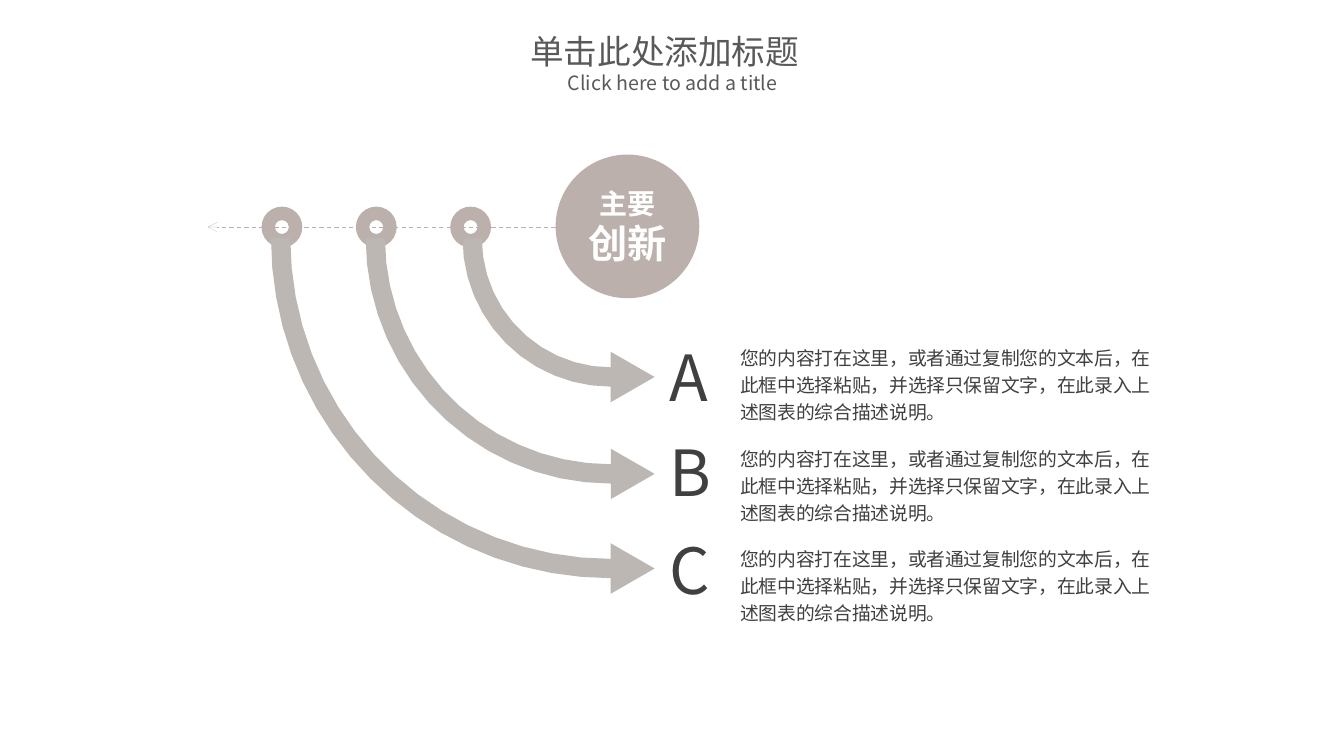
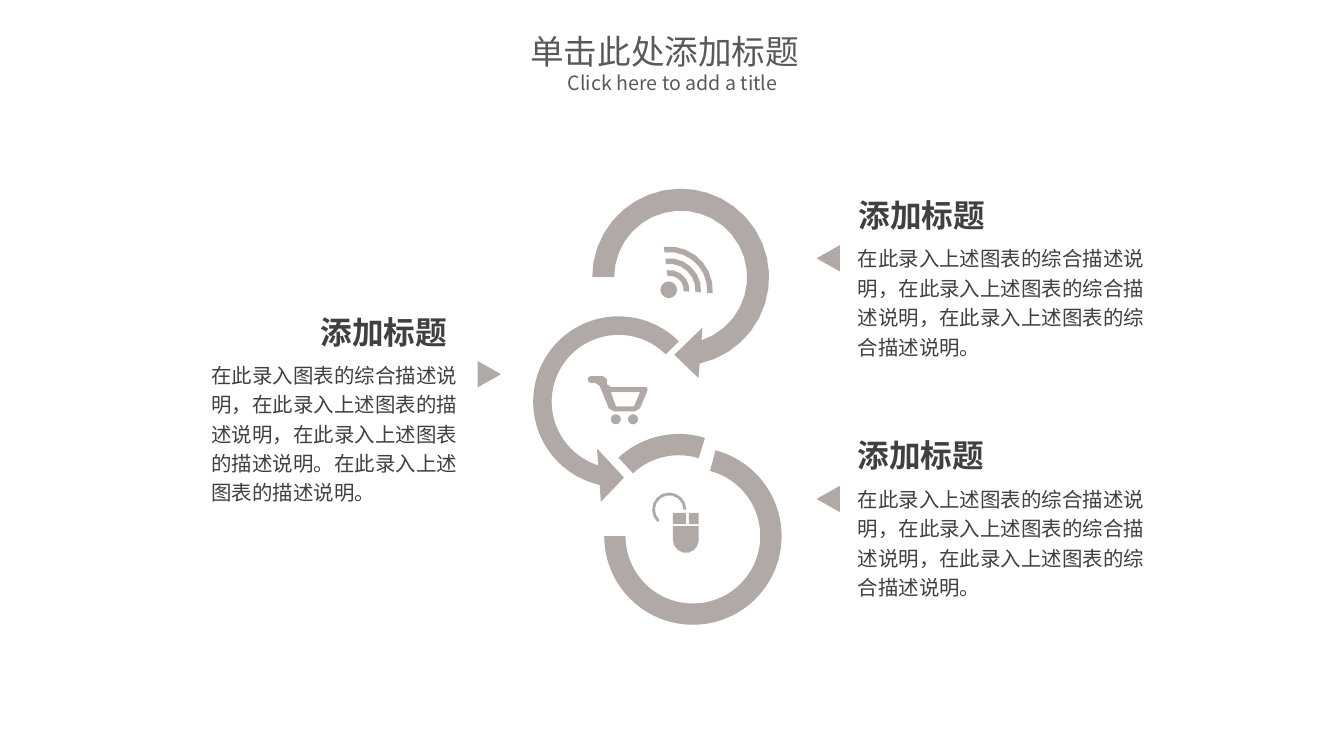
from collections.abc import Iterable
from dataclasses import dataclass
from math import acos, ceil, cos, degrees, radians, sin

from lxml.etree import SubElement
from pptx import Presentation
from pptx.dml.color import RGBColor
from pptx.enum.dml import MSO_LINE
from pptx.enum.shapes import MSO_CONNECTOR, MSO_SHAPE
from pptx.enum.text import MSO_ANCHOR as Anchor
from pptx.enum.text import MSO_AUTO_SIZE as AutoSize
from pptx.enum.text import PP_ALIGN as Align
from pptx.oxml.ns import qn
from pptx.shapes.autoshape import Shape
from pptx.shapes.shapetree import GroupShapes, SlideShapes
from pptx.slide import Slide
from pptx.text.text import TextFrame
from pptx.util import Pt

Point = tuple[float, float]
Shapes = SlideShapes | GroupShapes


@dataclass(frozen=True)
class Theme:
    font: str = "Noto Sans CJK SC"
    title_color: str = "595959"
    text_color: str = "404040"
    white: str = "FFFFFF"
    node: str = "BBB0AC"
    arrow: str = "BCB7B3"
    ring: str = "B1A9A5"
    title_size: float = 24
    subtitle_size: float = 14
    hub_sizes: Point = (20, 28)
    letter_size: float = 45.4
    note_size: float = 13.33
    heading_size: float = 22.67
    body_size: float = 14.6


@dataclass(frozen=True)
class Box:
    left: float
    top: float
    width: float
    height: float

    def lengths(self) -> tuple[int, int, int, int]:
        return Pt(self.left), Pt(self.top), Pt(self.width), Pt(self.height)


@dataclass(frozen=True)
class Line:
    """One paragraph of text with its look."""
    text: str
    size: float
    color: str
    bold: bool = False
    align: Align = Align.LEFT
    spacing: float = 1.0
    indent: float = 0


@dataclass(frozen=True)
class Branch:
    """One curved arrow with its letter and note."""
    letter: str
    radius: float
    letter_top: float
    note_top: float


@dataclass(frozen=True)
class Callout:
    """Heading, body text and a small triangle pointing at the rings."""
    heading: Box
    body: Box
    marker: Point
    rotation: float
    align: Align
    text: str


@dataclass(frozen=True)
class PresetRing:
    preset: MSO_SHAPE
    box: Box
    adjustments: tuple[float, ...]


THEME = Theme()
TITLE_BOX = Box(285.1, 27.4, 379.4, 37.4)
TOLERANCE = 0.25

# Curved arrows
NODE_START, NODE_STEP, NODE_Y, NODE_SIZE = 336.2, 67.4, 162.2, 29.2
ARC_CENTER: Point = (436.3, 170.3)
ARC_HALF, HEAD_HALF, HEAD_LENGTH = 6.9, 18, 31.3
BRANCHES = [
    Branch("A", 99, 236.2, 241.7),
    Branch("B", 168.2, 304.3, 314),
    Branch("C", 235.8, 374.4, 385.2),
]
NOTE = "您的内容打在这里，或者通过复制您的文本后，在此框中选择粘贴，并选择只保留文字，在此录入上述图表的综合描述说明。"

# Linked rings
RIGHT_TEXT = "在此录入上述图表的综合描述说明，在此录入上述图表的综合描述说明，在此录入上述图表的综合描述说明。"
LEFT_TEXT = "在此录入图表的综合描述说明，在此录入上述图表的描述说明，在此录入上述图表的描述说明。在此录入上述图表的描述说明。"
MARKER_SIZE = (18.7, 16.6)
CALLOUTS = [
    Callout(Box(606.2, 136.1, 105, 36), Box(605.5, 169, 222.5, 91.4),
            (582.2, 176.2), 270, Align.LEFT, RIGHT_TEXT),
    Callout(Box(605.5, 307.8, 105, 36), Box(605.5, 340.8, 222.5, 91.4),
            (582.2, 348.1), 270, Align.LEFT, RIGHT_TEXT),
    Callout(Box(221.8, 219.6, 105, 36), Box(144, 252.2, 192.2, 113),
            (340.2, 259), 90, Align.RIGHT, LEFT_TEXT),
]
PRESET_RINGS = [
    PresetRing(MSO_SHAPE.LEFT_CIRCULAR_ARROW, Box(368.4, 213.5, 146.9, 146.9),
               (0.09, 11.42, 62.94, 189, 0.13)),
    PresetRing(MSO_SHAPE.BLOCK_ARC, Box(421.6, 310, 126.7, 126.7), (136.24, 172.28, 0.12)),
    PresetRing(MSO_SHAPE.BLOCK_ARC, Box(431.6, 319.6, 126.7, 126.7), (170.85, 108, 0.12)),
]
TOP_CENTER: Point = (486.2, 198)
TOP_OUTER, TOP_INNER, TOP_SEAM = 63.2, 47.5, 288
TOP_HEAD: list[Point] = [(498.9, 270), (481.7, 253.4), (501.8, 234)]
CART_ORIGIN: Point = (419.8, 268.6)
CART_FRAME: list[Point] = [
    (2.2, 0), (10.8, 0), (13.7, 2.2), (13.7, 5.8), (16.6, 7.9), (41.8, 7.9), (42.8, 9),
    (42.5, 10.8), (37.4, 23), (33.8, 25.2), (18.7, 25.2), (15.1, 23), (8.6, 7.2),
    (5.8, 5), (2.2, 5), (0.6, 4), (0, 2.2), (0.6, 0.7),
]
CART_BASKET: list[Point] = [(33.1, 21.6), (20.2, 21.6), (16.6, 11.5), (37.4, 11.5)]


# Formatting helpers
def apply_format(target: object, values: dict[str, object]) -> None:
    for name, value in values.items():
        setattr(target, name, value)


def write_lines(frame: TextFrame, lines: Iterable[Line], inset: Point = (0, 0),
                **frame_format: object) -> None:
    horizontal, vertical = Pt(inset[0]), Pt(inset[1])
    apply_format(frame, {"word_wrap": True, "margin_left": horizontal,
                         "margin_right": horizontal, "margin_top": vertical,
                         "margin_bottom": vertical} | frame_format)
    for index, line in enumerate(lines):
        paragraph = frame.add_paragraph() if index else frame.paragraphs[0]
        apply_format(paragraph, {"alignment": line.align, "line_spacing": line.spacing})
        if line.indent:
            paragraph._p.get_or_add_pPr().set("marL", str(Pt(line.indent)))
        run = paragraph.add_run()
        run.text = line.text
        apply_format(run.font, {"name": THEME.font, "size": Pt(line.size), "bold": line.bold})
        run.font.color.rgb = RGBColor.from_string(line.color)
        SubElement(run._r.get_or_add_rPr(), qn("a:ea"), typeface=THEME.font)


def paint(shape: Shape, color: str) -> Shape:
    shape.shadow.inherit = False
    shape.fill.solid()
    shape.fill.fore_color.rgb = RGBColor.from_string(color)
    shape.line.fill.background()
    return shape


def add_preset(shapes: Shapes, preset: MSO_SHAPE, box: Box, color: str,
               adjustments: Iterable[float] = ()) -> Shape:
    shape = shapes.add_shape(preset, *box.lengths())
    for index, value in enumerate(adjustments):
        shape.adjustments[index] = value
    return paint(shape, color)


def add_text(slide: Slide, box: Box, line: Line, inset: Point, **frame_format: object) -> None:
    frame = slide.shapes.add_textbox(*box.lengths()).text_frame
    write_lines(frame, [line], inset, auto_size=AutoSize.SHAPE_TO_FIT_TEXT, **frame_format)


# Outline helpers: angles in degrees, clockwise from the right
def arc(center: Point, radius: float, start: float, end: float) -> list[Point]:
    """Use the fewest points that stay within the tolerance of the true arc."""
    steps = max(1, ceil(abs(end - start) / degrees(2 * acos(1 - TOLERANCE / radius))))
    angles = [radians(start + (end - start) * step / steps) for step in range(steps + 1)]
    return [(center[0] + radius * cos(angle), center[1] + radius * sin(angle))
            for angle in angles]


def band(center: Point, radius: float, half: float, start: float, end: float) -> list[Point]:
    return arc(center, radius + half, start, end) + arc(center, radius - half, end, start)


def rectangle(left: float, top: float, right: float, bottom: float) -> list[Point]:
    return [(left, top), (right, top), (right, bottom), (left, bottom)]


def add_outline(shapes: Shapes, color: str, *contours: list[Point]) -> None:
    scaled = [[(Pt(x), Pt(y)) for x, y in contour] for contour in contours]
    builder = shapes.build_freeform(*scaled[0][0])
    for index, contour in enumerate(scaled):
        if index:
            builder.move_to(*contour[0])
        builder.add_line_segments(contour[1:], close=True)
    paint(builder.convert_to_shape(), color)


# Shared slide frame
def add_titled_slide(presentation: Presentation) -> Slide:
    slide = presentation.slides.add_slide(presentation.slide_layouts[5])
    title = slide.shapes.title
    apply_format(title, dict(zip(("left", "top", "width", "height"), TITLE_BOX.lengths())))
    write_lines(title.text_frame, [
        Line("单击此处添加标题", THEME.title_size, THEME.title_color,
             align=Align.CENTER, spacing=0.95),
        Line("Click here to add a title", THEME.subtitle_size, THEME.title_color,
             align=Align.CENTER, spacing=0.95, indent=11.5),
    ], vertical_anchor=Anchor.MIDDLE, auto_size=AutoSize.NONE)
    return slide


# Slide 1: curved arrows
def build_arrows_slide(presentation: Presentation) -> None:
    slide = add_titled_slide(presentation)
    shapes = slide.shapes
    hub = add_preset(shapes, MSO_SHAPE.OVAL, Box(396.9, 110.4, 102.6, 102.6), THEME.node)
    write_lines(hub.text_frame, [
        Line(text, size, THEME.white, bold=True, align=Align.CENTER)
        for text, size in zip(("主要", "创新"), THEME.hub_sizes)
    ], (6, 3), vertical_anchor=Anchor.MIDDLE)

    axis = shapes.add_connector(MSO_CONNECTOR.STRAIGHT, Pt(396.9), Pt(NODE_Y),
                                Pt(148.3), Pt(NODE_Y))
    axis.line.color.rgb = RGBColor.from_string(THEME.node)
    axis.line.dash_style = MSO_LINE.DASH
    outline = axis.line._get_or_add_ln()
    outline.set("w", "0")  # hairline
    SubElement(outline, qn("a:tailEnd"), type="arrow")
    SubElement(axis._element.spPr, qn("a:effectLst"))

    for index in range(len(BRANCHES)):
        left = NODE_START - index * NODE_STEP - NODE_SIZE / 2
        add_preset(shapes, MSO_SHAPE.DONUT,
                   Box(left, NODE_Y - NODE_SIZE / 2, NODE_SIZE, NODE_SIZE), THEME.node, [0.33])

    center_x, center_y = ARC_CENTER
    for branch in BRANCHES:
        tip_y = center_y + branch.radius
        head = [(center_x, tip_y - HEAD_HALF), (center_x + HEAD_LENGTH, tip_y),
                (center_x, tip_y + HEAD_HALF)]
        add_outline(shapes, THEME.arrow,
                    band(ARC_CENTER, branch.radius, ARC_HALF, 90, 180) + head)

    for branch in BRANCHES:
        add_text(slide, Box(472.3, branch.letter_top, 43.9, 64.1),
                 Line(branch.letter, THEME.letter_size, THEME.text_color), (6, 3),
                 word_wrap=False, vertical_anchor=Anchor.MIDDLE)
        add_text(slide, Box(522.7, branch.note_top, 305.3, 63.4),
                 Line(NOTE, THEME.note_size, THEME.text_color, spacing=1.2), (6, 3))


# Slide 2: linked rings
def add_signal_icon(shapes: Shapes) -> None:
    center = (478, 207.3)
    add_preset(shapes, MSO_SHAPE.OVAL, Box(471.7, 201, 12, 12), THEME.ring)
    for radius in (12.4, 20.8, 29.2):
        add_outline(shapes, THEME.ring, band(center, radius, 2, -97, 4))


def add_cart_icon(shapes: Shapes) -> None:
    for left in (436.3, 448.6):
        add_preset(shapes, MSO_SHAPE.OVAL, Box(left, 295.9, 7.2, 7.2), THEME.ring)
    origin_x, origin_y = CART_ORIGIN
    add_outline(shapes, THEME.ring, *([(origin_x + x, origin_y + y) for x, y in contour]
                                      for contour in (CART_FRAME, CART_BASKET)))


def add_mouse_icon(shapes: Shapes) -> None:
    body = [(480.7, 375.8), (499.1, 375.8)] + arc((489.9, 385.7), 9.2, 0, 180)
    add_outline(shapes, THEME.ring, rectangle(480.7, 366.3, 490.1, 374.4),
                rectangle(492, 366.3, 499.1, 374.4), body)
    add_outline(shapes, THEME.ring, band((478, 364), 11.2, 1, 133, 360))


def build_rings_slide(presentation: Presentation) -> None:
    slide = add_titled_slide(presentation)
    shapes = slide.shapes
    for callout in CALLOUTS:
        add_text(slide, callout.heading,
                 Line("添加标题", THEME.heading_size, THEME.text_color, bold=True,
                      align=callout.align), (7.2, 3.6), word_wrap=False)
        marker = add_preset(shapes, MSO_SHAPE.ISOSCELES_TRIANGLE,
                            Box(*callout.marker, *MARKER_SIZE), THEME.ring)
        marker.rotation = callout.rotation
        add_text(slide, callout.body,
                 Line(callout.text, THEME.body_size, THEME.text_color, spacing=1.2), (7.2, 3.6))

    for ring in PRESET_RINGS:
        add_preset(shapes, ring.preset, ring.box, THEME.ring, ring.adjustments)
    for add_icon in (add_signal_icon, add_cart_icon, add_mouse_icon):
        add_icon(shapes.add_group_shape().shapes)
    add_outline(shapes, THEME.ring, arc(TOP_CENTER, TOP_OUTER, TOP_SEAM - 1, 437.5) + TOP_HEAD
                + arc(TOP_CENTER, TOP_INNER, 431.6, TOP_SEAM - 1))
    add_outline(shapes, THEME.ring, arc(TOP_CENTER, TOP_OUTER, 180, TOP_SEAM)
                + arc(TOP_CENTER, TOP_INNER, TOP_SEAM, 180))


def main() -> None:
    presentation = Presentation()
    apply_format(presentation, {"slide_width": Pt(960), "slide_height": Pt(540)})
    build_arrows_slide(presentation)
    build_rings_slide(presentation)
    presentation.save("out.pptx")


if __name__ == "__main__":
    main()
